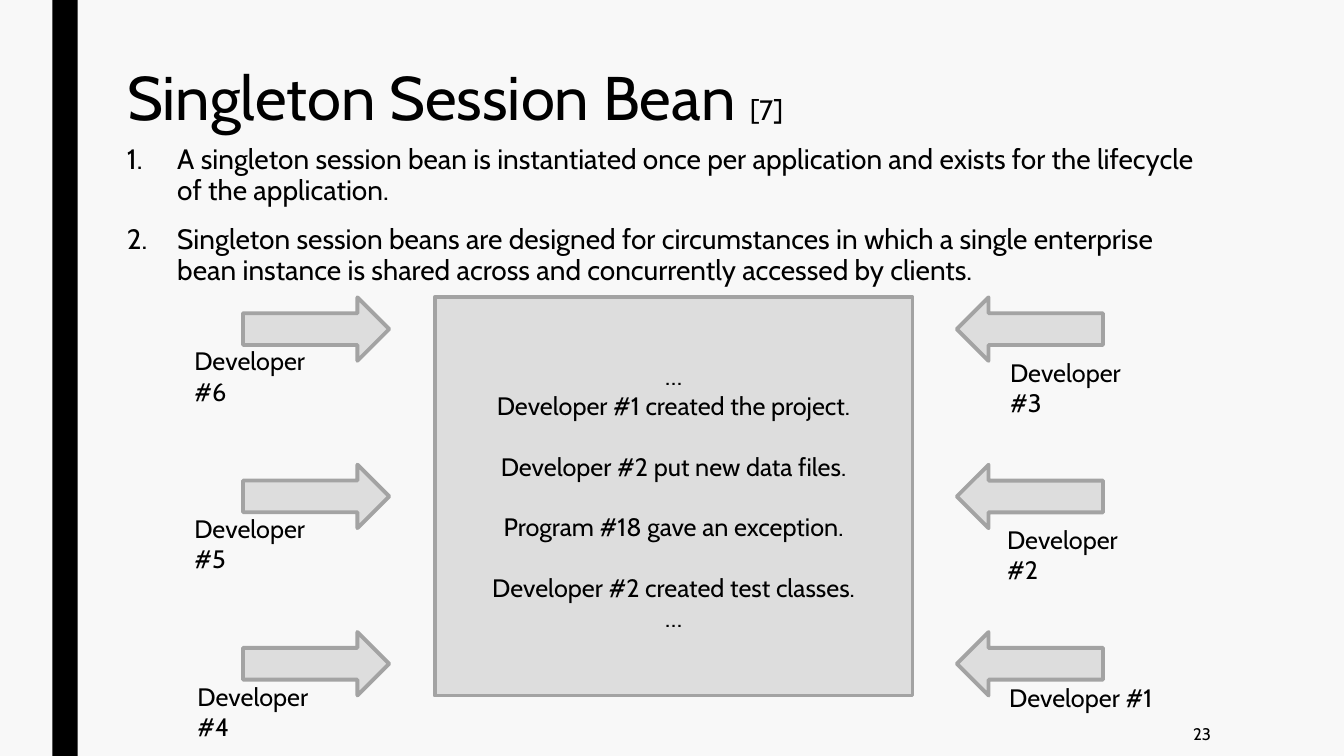
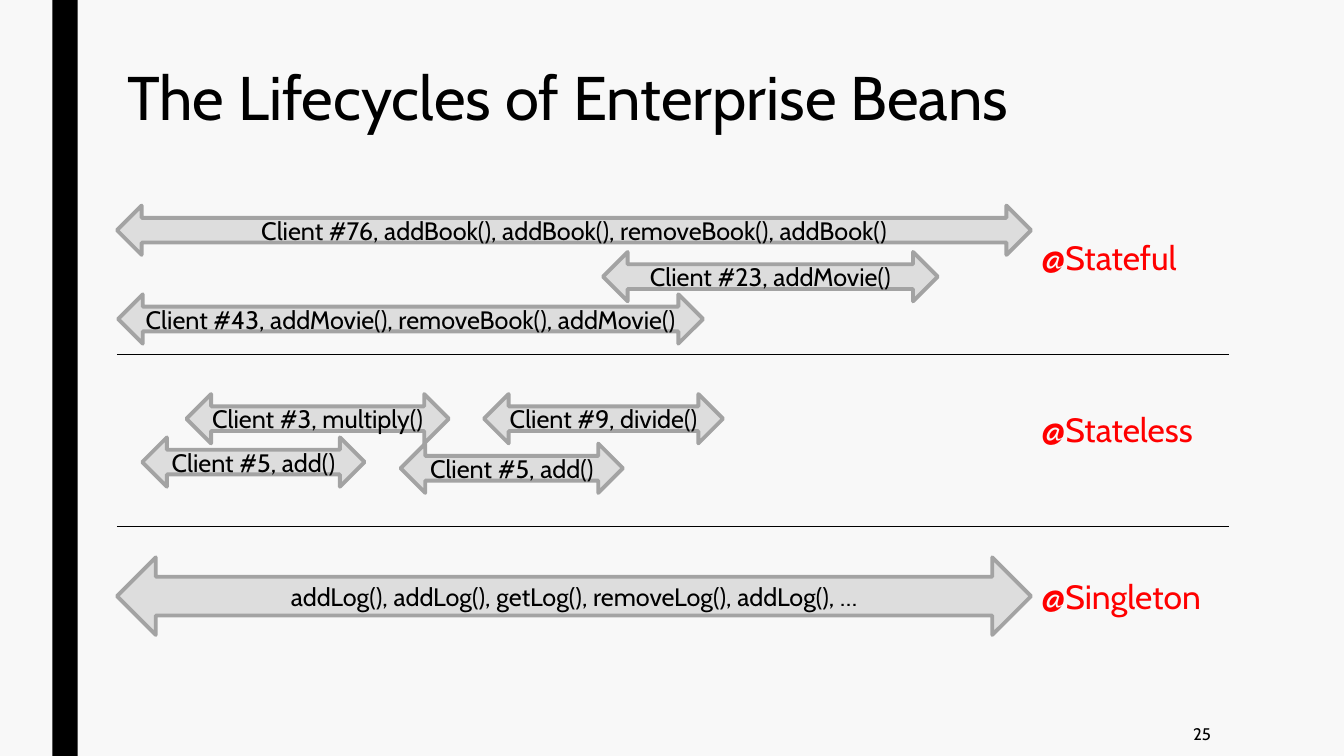
from dataclasses import dataclass

from lxml import etree
from pptx import Presentation
from pptx.dml.color import RGBColor
from pptx.enum.shapes import MSO_CONNECTOR as Connector, MSO_SHAPE as Preset
from pptx.enum.text import MSO_ANCHOR as Anchor, MSO_AUTO_SIZE as AutoSize, PP_ALIGN as Align
from pptx.oxml.ns import qn
from pptx.util import Inches, Pt

# Shared look
FONT = "Cabin"
PAPER = RGBColor(0xF8, 0xF8, 0xF8)
INK = RGBColor(0x00, 0x00, 0x00)
PANEL = RGBColor(0xDD, 0xDD, 0xDD)
EDGE = RGBColor(0xA3, 0xA3, 0xA3)
ACCENT = RGBColor(0xFF, 0x00, 0x00)
TITLE_ONLY = 5


@dataclass
class Box:
    """An area in inches; inner() takes percentages of it."""
    left: float
    top: float
    width: float
    height: float

    def inner(self, left, top, width, height):
        return Box(self.left + self.width * left / 100,
                   self.top + self.height * top / 100,
                   self.width * width / 100, self.height * height / 100)

    def lengths(self):
        return [Inches(n) for n in (self.left, self.top, self.width, self.height)]


SLIDE = Box(0, 0, 13.33, 7.5)
BAR = Box(0.52, 0, 0.25, 7.5)
TITLE = Box(1.16, 0.61, 11.03, 0.77)
BODY = Box(1.16, 1.38, 11.03, 1.57)
DIAGRAM = Box(1.16, 2.95, 11.03, 3.95)
LANES = Box(1.16, 1.82, 11.03, 5.1)
NUMBER = Box(10.36, 7.06, 1.75, 0.44)


# Building blocks
def format_text(shape, size, color=INK, align=Align.LEFT, anchor=Anchor.TOP):
    frame = shape.text_frame
    frame.word_wrap = True
    frame.auto_size = AutoSize.NONE
    frame.vertical_anchor = anchor
    for paragraph in frame.paragraphs:
        paragraph.alignment = align
        for run in paragraph.runs:
            run.font.name = FONT
            run.font.size = Pt(size)
            run.font.color.rgb = color


def add_text(slide, box, text, size, **style):
    shape = slide.shapes.add_textbox(*box.lengths())
    shape.text_frame.text = text
    format_text(shape, size, **style)
    return shape


def add_panel(slide, preset, box, text=""):
    shape = slide.shapes.add_shape(preset, *box.lengths())
    shape.shadow.inherit = False
    shape.fill.solid()
    shape.fill.fore_color.rgb = PANEL
    shape.line.color.rgb = EDGE
    shape.line.width = Pt(2.75)
    if text:
        shape.text_frame.text = text
        shape.text_frame.margin_left = shape.text_frame.margin_right = 0
        format_text(shape, 18, align=Align.CENTER, anchor=Anchor.MIDDLE)
    return shape


def add_rule(slide, left, right, top):
    rule = slide.shapes.add_connector(
        Connector.STRAIGHT, Inches(left), Inches(top), Inches(right), Inches(top))
    rule.line.color.rgb = INK
    rule.line.width = Pt(0.5)
    etree.SubElement(rule._element.spPr, qn("a:effectLst"))


def add_base_slide(presentation, title, number, reference=""):
    slide = presentation.slides.add_slide(presentation.slide_layouts[TITLE_ONLY])
    # Side bar
    bar = slide.shapes.add_shape(Preset.RECTANGLE, *BAR.lengths())
    bar.shadow.inherit = False
    bar.fill.solid()
    bar.fill.fore_color.rgb = INK
    bar.line.fill.background()
    # Title, with an optional small reference
    heading = slide.shapes.title
    heading.left, heading.top, heading.width, heading.height = TITLE.lengths()
    paragraph = heading.text_frame.paragraphs[0]
    paragraph.text = title
    paragraph.line_spacing = 0.89
    if reference:
        paragraph.add_run().text = reference
    format_text(heading, 44, anchor=Anchor.MIDDLE)
    if reference:
        paragraph.runs[-1].font.size = Pt(20)
    # Slide number
    add_text(slide, NUMBER, str(number), 12, align=Align.RIGHT, anchor=Anchor.MIDDLE)
    return slide


# Singleton slide
def add_numbered_list(slide, box, items):
    shape = add_text(slide, box, "\n".join(items), 20)
    for paragraph in shape.text_frame.paragraphs:
        paragraph.line_spacing = 0.94
        paragraph.space_before = Pt(10)
        paragraph.space_after = Pt(2)
        properties = paragraph._p.get_or_add_pPr()
        properties.set("marL", str(Inches(0.5)))
        properties.set("indent", str(Inches(-0.5)))
        etree.SubElement(properties, qn("a:buAutoNum"), type="arabicPeriod")


def add_shared_log(slide, box, entries):
    lines = ["…", *entries, "…"]
    log = add_panel(slide, Preset.RECTANGLE, box, "\n".join(lines))
    for paragraph in log.text_frame.paragraphs[2:-1]:
        paragraph.space_before = Pt(21.7)


def add_developers(slide, box, arrow_left, rotation, labels):
    """One arrow per row; labels hold text, left, drop below the arrow, width."""
    arrow_height = 15.95
    step = (100 - arrow_height) / (len(labels) - 1)
    for row, (text, left, drop, width) in enumerate(labels):
        top = row * step
        arrow = add_panel(slide, Preset.RIGHT_ARROW,
                          box.inner(arrow_left, top, 13.15, arrow_height))
        arrow.rotation = rotation
        add_text(slide, box.inner(left, top + drop, width, 10.1), text, 18)


def build_singleton_slide(presentation):
    slide = add_base_slide(presentation, "Singleton Session Bean ", 23, "[7]")
    add_numbered_list(slide, BODY, [
        "A singleton session bean is instantiated once per application and exists "
        "for the lifecycle of the application.",
        "Singleton session beans are designed for circumstances in which a single "
        "enterprise bean instance is shared across and concurrently accessed by clients.",
    ])
    add_shared_log(slide, DIAGRAM.inner(28.56, 0, 42.97, 100), [
        "Developer #1 created the project.",
        "Developer #2 put new data files.",
        "Program #18 gave an exception.",
        "Developer #2 created test classes.",
    ])
    add_developers(slide, DIAGRAM, 11.33, 0, [
        ("Developer #6", 6.07, 10.9, 13.6),
        ("Developer #5", 6.07, 10.9, 13.6),
        ("Developer #4", 6.35, 11.1, 13.6),
    ])
    add_developers(slide, DIAGRAM, 75.52, 180, [
        ("Developer #3", 79.42, 13.7, 13.6),
        ("Developer #2", 79.15, 13.7, 13.6),
        ("Developer #1", 79.33, 11.4, 16),
    ])


# Lifecycle slide
def add_lane(slide, box, annotation, label_top, arrow_height, calls):
    """Calls hold left, top and width in percent of the lane, and the text."""
    for left, top, width, text in calls:
        add_panel(slide, Preset.LEFT_RIGHT_ARROW,
                  box.inner(left, top, width, arrow_height), text)
    add_text(slide, box.inner(82.2, label_top, 17.8, 29.4), annotation, 24, color=ACCENT)


def build_lifecycle_slide(presentation):
    slide = add_base_slide(presentation, "The Lifecycles of Enterprise Beans", 25)
    lanes = [
        ("@Stateful", 28.2, 28.8, [
            (0, 12.9, 82.2, "Client #76, addBook(), addBook(), removeBook(), addBook()"),
            (0.1, 64.7, 52.6, "Client #43, addMovie(), removeBook(), addMovie()"),
            (43.7, 40, 30.1, "Client #23, addMovie()"),
        ]),
        ("@Stateless", 28.8, 28.8, [
            (2.27, 48.2, 20, "Client #5, add()"),
            (6.25, 22.9, 23.6, "Client #3, multiply()"),
            (33, 22.9, 21.5, "Client #9, divide()"),
            (25.5, 51.8, 20, "Client #5, add()"),
        ]),
        ("@Singleton", 25.9, 45.3, [
            (0, 18.2, 82.2, "addLog(), addLog(), getLog(), removeLog(), addLog(), …"),
        ]),
    ]
    share = 100 / len(lanes)
    for index, lane in enumerate(lanes):
        box = LANES.inner(0, index * share, 100, share)
        add_lane(slide, box, *lane)
        if index:
            add_rule(slide, box.left, box.left + box.width, box.top)


def main():
    presentation = Presentation()
    presentation.slide_width = Inches(SLIDE.width)
    presentation.slide_height = Inches(SLIDE.height)
    background = presentation.slide_master.background.fill
    background.solid()
    background.fore_color.rgb = PAPER
    build_singleton_slide(presentation)
    build_lifecycle_slide(presentation)
    presentation.save("out.pptx")


if __name__ == "__main__":
    main()
